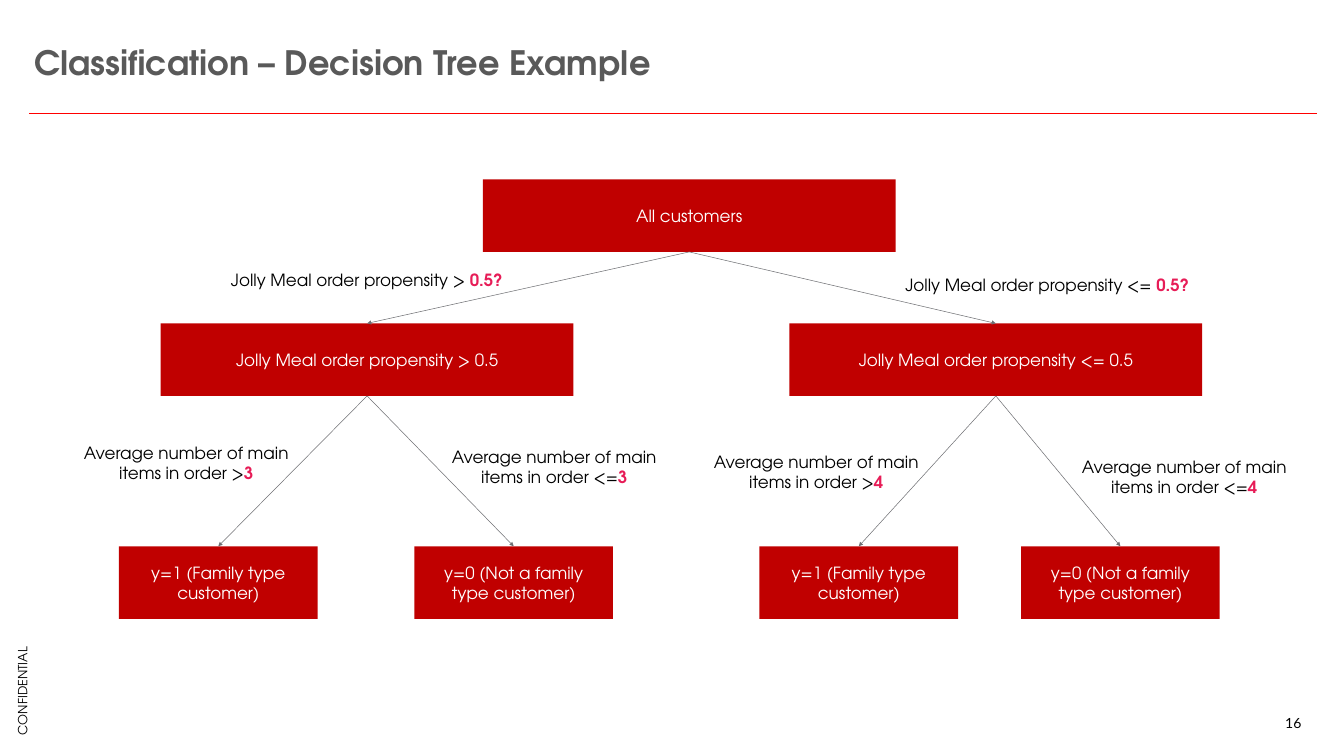
from lxml.etree import SubElement
from pptx import Presentation
from pptx.dml.color import RGBColor
from pptx.enum.shapes import MSO_CONNECTOR as Connector, MSO_SHAPE as Shape
from pptx.enum.text import MSO_ANCHOR as Anchor, MSO_AUTO_SIZE as AutoSize, PP_ALIGN as Align
from pptx.oxml.ns import qn
from pptx.util import Pt

BLACK = RGBColor(0x00, 0x00, 0x00)
WHITE = RGBColor(0xFF, 0xFF, 0xFF)
TITLE_GREY = RGBColor(0x59, 0x59, 0x59)
ARROW_GREY = RGBColor(0x6E, 0x6F, 0x73)
RULE_RED = RGBColor(0xFF, 0x00, 0x00)
BOX_RED = RGBColor(0xC0, 0x00, 0x00)
PINK = RGBColor(0xE7, 0x1C, 0x57)
FONT = "TeX Gyre Adventor"

TITLE = "Classification – Decision Tree Example"
FAMILY = "y=1 (Family type customer)"
NOT_FAMILY = "y=0 (Not a family type customer)"

# name: (parent, level, left, text)
NODES = {
    "root": (None, 0, 689.8, "All customers"),
    "high": ("root", 1, 229.6, "Jolly Meal order propensity > 0.5"),
    "low": ("root", 1, 1127.8, "Jolly Meal order propensity <= 0.5"),
    "high family": ("high", 2, 170, FAMILY),
    "high other": ("high", 2, 592, NOT_FAMILY),
    "low family": ("low", 2, 1085, FAMILY),
    "low other": ("low", 2, 1458.7, NOT_FAMILY),
}
# level: (top, width)
LEVELS = [(256.3, 589.7), (462, 589.7), (780.4, 283.7)]
NODE_HEIGHT = 103.6

# left, top, condition, threshold
PROPENSITY_LABELS = [
    (237.6, 376.6, "Jolly Meal order propensity > ", "0.5?"),
    (1209.6, 383.8, "Jolly Meal order propensity <=", " 0.5?"),
]
ITEM_LABELS = [
    (106.6, 623.5, "Average number of main items in order >", "3"),
    (632.2, 630, "Average number of main items in order <=", "3"),
    (1006.6, 636.5, "Average number of main items in order >", "4"),
    (1532.2, 643.7, "Average number of main items in order <=", "4"),
]
# labels, width, height
LABEL_GROUPS = [(PROPENSITY_LABELS, 573, 45.4), (ITEM_LABELS, 319, 74.2)]


def write(shape, spans, size, insets, align=Align.CENTER, anchor=Anchor.MIDDLE,
          wrap=True, font=FONT):
    """Fill a shape with one paragraph; each span is (text, colour, bold)."""
    frame = shape.text_frame
    frame.auto_size = AutoSize.NONE
    frame.word_wrap = wrap
    frame.vertical_anchor = anchor
    (frame.margin_left, frame.margin_top,
     frame.margin_right, frame.margin_bottom) = map(Pt, insets)
    para = frame.paragraphs[0]
    para.alignment = align
    for text, colour, bold in spans:
        span = para.add_run()
        span.text = text
        span.font.name = font
        span.font.size = Pt(size)
        span.font.bold = bold
        span.font.color.rgb = colour
    return para


def add_text(page, left, top, width, height, *args, **options):
    box = page.shapes.add_textbox(Pt(left), Pt(top), Pt(width), Pt(height))
    write(box, *args, **options)
    return box


def add_line(page, x1, y1, x2, y2, colour, weight):
    line = page.shapes.add_connector(Connector.STRAIGHT, Pt(x1), Pt(y1), Pt(x2), Pt(y2))
    line.line.color.rgb = colour
    line.line.width = Pt(weight)
    SubElement(line._element.spPr, qn("a:effectLst"))
    return line


def add_node(page, level, left, text):
    top, width = LEVELS[level]
    node = page.shapes.add_shape(Shape.RECTANGLE, Pt(left), Pt(top), Pt(width), Pt(NODE_HEIGHT))
    node.shadow.inherit = False
    node.fill.solid()
    node.fill.fore_color.rgb = BOX_RED
    node.line.fill.background()
    write(node, [(text, WHITE, False)], 24, (14.4, 7.2, 14.4, 7.2))
    return node


def add_branch(page, parent, child):
    arrow = add_line(page, 0, 0, 0, 0, ARROW_GREY, 0.75)
    arrow.begin_connect(parent, 2)
    arrow.end_connect(child, 0)
    SubElement(arrow.line._get_or_add_ln(), qn("a:tailEnd"), type="triangle")


def main():
    deck = Presentation()
    deck.slide_width, deck.slide_height = Pt(1920), Pt(1080)
    page = deck.slides.add_slide(deck.slide_layouts[5])

    title = page.shapes.title
    title.left, title.top, title.width, title.height = map(Pt, (41.8, 44.6, 1648.8, 91.4))
    para = write(title, [(TITLE, TITLE_GREY, True)], 48, (7.2, 7.2, 7.2, 0), align=Align.LEFT)
    para.line_spacing = 0.85
    para.space_after = Pt(12)

    add_line(page, 41.8, 162.7, 1881.4, 162.7, RULE_RED, 1.25)
    add_text(page, 1827.4, 1021.7, 40.3, 22.3, [("16", BLACK, False)], 20, (0, 0, 0, 0),
             anchor=Anchor.BOTTOM, wrap=False, font="Lato")
    marking = add_text(page, -38.9, 972.7, 141.8, 28.8, [("CONFIDENTIAL", BLACK, False)], 18,
                       (7.2, 3.6, 7.2, 3.6), anchor=Anchor.TOP, wrap=False)
    marking.rotation = 270

    nodes = {name: add_node(page, *place) for name, (_, *place) in NODES.items()}
    for name, (parent, *_) in NODES.items():
        if parent:
            add_branch(page, nodes[parent], nodes[name])

    for labels, width, height in LABEL_GROUPS:
        for left, top, condition, threshold in labels:
            add_text(page, left, top, width, height,
                     [(condition, BLACK, False), (threshold, PINK, True)], 24, (7.9,) * 4)

    deck.save("out.pptx")


if __name__ == "__main__":
    main()
